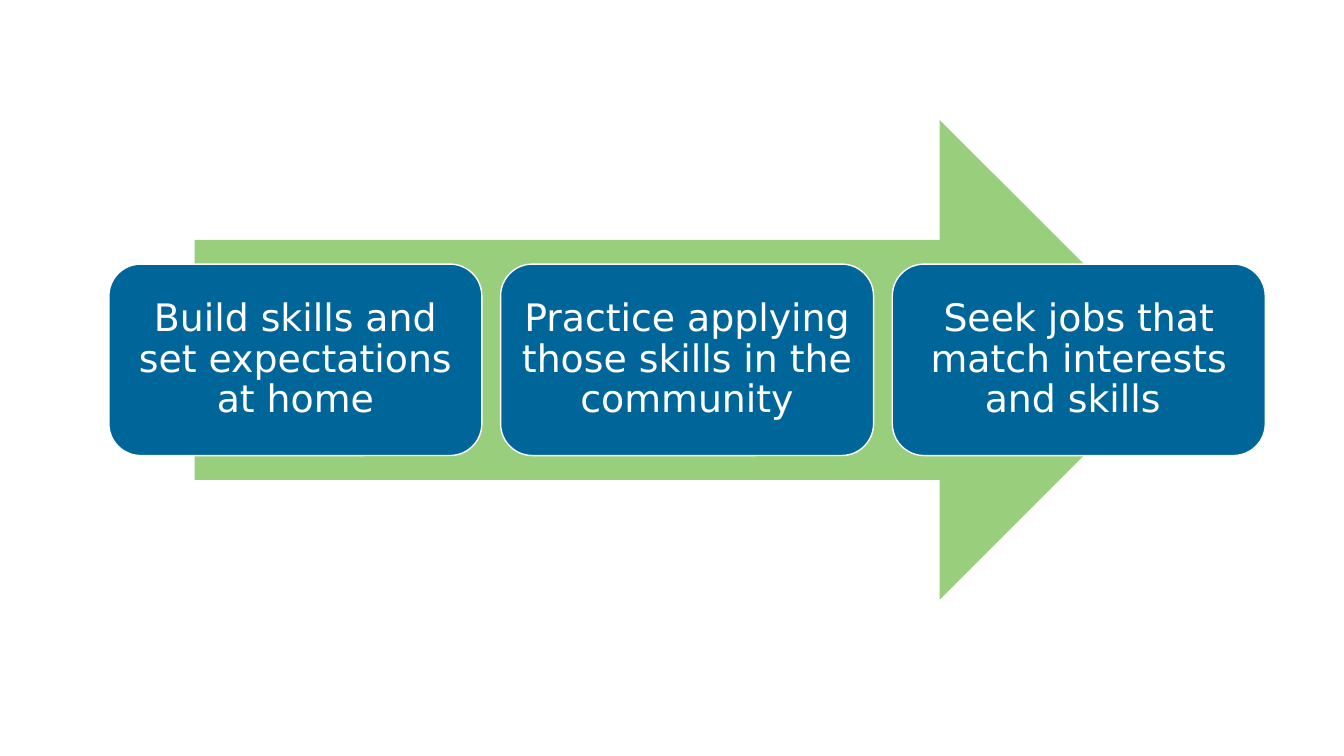
from dataclasses import dataclass

from pptx import Presentation
from pptx.dml.color import RGBColor
from pptx.enum.shapes import MSO_SHAPE
from pptx.enum.text import MSO_ANCHOR, PP_ALIGN
from pptx.util import Inches, Pt


@dataclass(frozen=True)
class Theme:
    arrow: RGBColor = RGBColor.from_string("98CE7C")
    step: RGBColor = RGBColor.from_string("006699")
    light: RGBColor = RGBColor.from_string("FFFFFF")
    font: str = "DejaVu Sans"
    text_size: float = 27
    outline: float = 1


THEME = Theme()
STEPS = (
    "Build skills and set expectations at home",
    "Practice applying those skills in the community",
    "Seek jobs that match interests and skills ",
)
STEP_LEFT, STEP_TOP, STEP_WIDTH, STEP_HEIGHT = 1.08, 2.62, 3.7, 1.9
STEP_PITCH = 3.885


def set_attributes(target, values):
    for name, value in values.items():
        setattr(target, name, value)


def add_filled_shape(slide, kind, box, color):
    shape = slide.shapes.add_shape(kind, *map(Inches, box))
    shape.shadow.inherit = False
    shape.fill.solid()
    shape.fill.fore_color.rgb = color
    return shape


def add_arrow(slide, box):
    arrow = add_filled_shape(slide, MSO_SHAPE.RIGHT_ARROW, box, THEME.arrow)
    arrow.line.fill.background()


def add_step(slide, box, text):
    step = add_filled_shape(slide, MSO_SHAPE.ROUNDED_RECTANGLE, box, THEME.step)
    step.line.color.rgb = THEME.light
    step.line.width = Pt(THEME.outline)
    frame = step.text_frame
    set_attributes(frame, {
        "word_wrap": True,
        "vertical_anchor": MSO_ANCHOR.MIDDLE,
        **{f"margin_{side}": Inches(0.11)
           for side in ("left", "top", "right", "bottom")},
    })
    paragraph = frame.paragraphs[0]
    set_attributes(paragraph, {"alignment": PP_ALIGN.CENTER, "line_spacing": 0.9})
    run = paragraph.add_run()
    run.text = text
    set_attributes(run.font, {"name": THEME.font, "size": Pt(THEME.text_size)})
    run.font.color.rgb = THEME.light


def main():
    presentation = Presentation()
    set_attributes(presentation, {
        "slide_width": Inches(13.33), "slide_height": Inches(7.5),
    })
    slide = presentation.slides.add_slide(presentation.slide_layouts[6])
    add_arrow(slide, (1.93, 1.19, 9.77, 4.76))
    for index, text in enumerate(STEPS):
        left = STEP_LEFT + index * STEP_PITCH
        add_step(slide, (left, STEP_TOP, STEP_WIDTH, STEP_HEIGHT), text)
    presentation.save("out.pptx")


if __name__ == "__main__":
    main()
